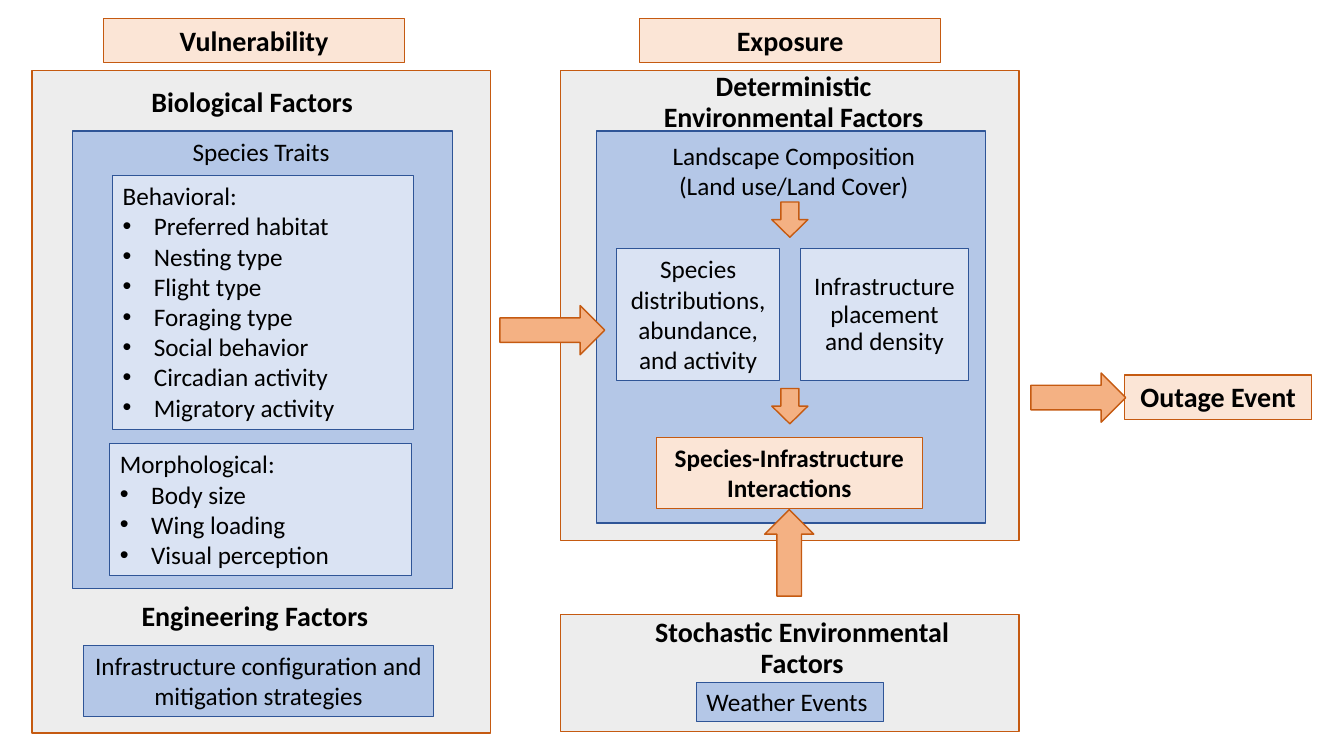
from lxml.etree import SubElement
from pptx import Presentation
from pptx.dml.color import RGBColor
from pptx.enum.shapes import MSO_SHAPE
from pptx.enum.text import MSO_ANCHOR, PP_ALIGN
from pptx.oxml.ns import qn
from pptx.util import Cm, Pt

COLORS = {
    "text": "000000", "panel": "EDEDED", "peach": "FBE5D6", "blue": "B4C7E7",
    "pale": "DAE3F3", "arrow": "F4B183", "rust": "C55A11", "navy": "2F5597",
}


def hue(name):
    """Return the named colour."""
    return RGBColor.from_string(COLORS[name])


def place(box, x, y, wide, high):
    """Turn an offset inside a box into slide lengths."""
    return Cm(box[0] + x), Cm(box[1] + y), Cm(wide), Cm(high)


def shape(box, spot, fill, edge, line=1, kind=MSO_SHAPE.RECTANGLE):
    """Add a filled and outlined shape."""
    item = slide.shapes.add_shape(kind, *place(box, *spot))
    item.shadow.inherit = False
    item.fill.solid()
    item.fill.fore_color.rgb = hue(fill)
    item.line.color.rgb = hue(edge)
    item.line.width = Pt(line)
    return item


def write(item, lines, size=18, bold=False, align=PP_ALIGN.CENTER,
          anchor=MSO_ANCHOR.TOP, space=1.0):
    """Write one paragraph for each line."""
    frame = item.text_frame
    frame.word_wrap = True
    frame.vertical_anchor = anchor
    frame.text = "\n".join(lines)
    for para in frame.paragraphs:
        para.alignment = align
        para.line_spacing = space
        para.font.name = "Calibri"
        para.font.size = Pt(size)
        para.font.bold = bold
        para.font.color.rgb = hue("text")


def label(box, spot, lines, **style):
    """Add a text box."""
    write(slide.shapes.add_textbox(*place(box, *spot)), lines, **style)


def title(box, spot, text, size=20, bold=True):
    """Add a tight heading that sits on the bottom of its box."""
    label(box, spot, [text], size=size, bold=bold,
          anchor=MSO_ANCHOR.BOTTOM, space=0.9)


def card(box, spot, text, fill="pale", edge="navy", **style):
    """Add a thinly outlined box with text."""
    write(shape(box, spot, fill, edge, 0.75), [text], **style)


def tag(box, spot, text, size=20):
    """Add a bold peach box."""
    card(box, spot, text, "peach", "rust", size=size, bold=True)


def traits(box, spot, head, items):
    """Add a box with a heading and bullets."""
    item = shape(box, spot, "pale", "navy", 0.75)
    write(item, [head, *items], align=PP_ALIGN.LEFT)
    for para in item.text_frame.paragraphs[1:]:
        props = para._p.get_or_add_pPr()
        props.set("marL", str(Cm(0.79)))
        props.set("indent", str(Cm(-0.79)))
        SubElement(props, qn("a:buFont")).set("typeface", "Arial")
        SubElement(props, qn("a:buChar")).set("char", "•")


def arrow(box, spot, turn=0):
    """Add a block arrow."""
    item = shape(box, spot, "arrow", "rust", kind=MSO_SHAPE.RIGHT_ARROW)
    item.rotation = turn


def panel(box, head, inner):
    """Add a headed grey panel with a blue area."""
    tag(box, (2.0 if box[0] > 10 else 1.8, 0, 7.59, 1.12), head)
    shape(box, (0, 1.32, box[2], box[3] - 1.32), "panel", "rust")
    shape(box, inner, "blue", "navy")


def weak(box):
    """Build the vulnerability region."""
    panel(box, "Vulnerability", (1.02, 2.84, 9.58, 11.53))
    title(box, (2.19, 1.42, 6.71, 1.24), "Biological Factors")
    title(box, (3.66, 3.02, 4.22, 0.84), "Species Traits", 18, False)
    traits(box, (2.03, 3.96, 7.59, 6.4), "Behavioral:", [
        "Preferred habitat", "Nesting type", "Flight type", "Foraging type",
        "Social behavior", "Circadian activity", "Migratory activity"])
    traits(box, (1.96, 10.72, 7.59, 3.33), "Morphological:", [
        "Body size", "Wing loading", "Visual perception"])
    title(box, (2.26, 14.37, 6.71, 1.24), "Engineering Factors")
    card(box, (1.3, 15.8, 8.81, 1.8),
         "Infrastructure configuration and mitigation strategies", "blue")


def expose(box):
    """Build the exposure region."""
    panel(box, "Exposure", (0.92, 2.84, 9.8, 9.88))
    title(box, (1.78, 1.78, 8.2, 1.24), "Deterministic Environmental Factors")
    label(box, (2.09, 2.94, 7.59, 1.8),
          ["Landscape Composition", "(Land use/Land Cover)"])
    card(box, (1.42, 5.81, 4.11, 3.33),
         "Species distributions, abundance, and activity")
    card(box, (6.05, 5.81, 4.24, 3.33),
         "Infrastructure placement and density",
         anchor=MSO_ANCHOR.MIDDLE, space=0.9)
    tag(box, (2.42, 10.56, 6.71, 1.8), "Species-Infrastructure Interactions", 18)
    for y in (4.62, 9.32):
        arrow(box, (5.34, y, 0.89, 0.91), 90)


def chance(box):
    """Build the stochastic region."""
    shape(box, (0, 0, *box[2:]), "panel", "rust")
    title(box, (1.83, 0.51, 8.53, 1.24), "Stochastic Environmental Factors")
    card(box, (3.43, 1.71, 4.72, 0.99), "Weather Events", "blue",
         align=PP_ALIGN.LEFT, anchor=MSO_ANCHOR.BOTTOM, space=0.9)


def links(box):
    """Build the outage event and the arrows between regions."""
    tag(box, (28.35, 9.45, 4.7, 1.12), "Outage Event")
    arrow(box, (12.6, 7.7, 2.64, 1.24))
    arrow(box, (25.98, 9.4, 2.39, 1.24))
    arrow(box, (18.8, 13.31, 2.18, 1.24), 270)


deck = Presentation()
deck.slide_width, deck.slide_height = Cm(33.87), Cm(19.05)
slide = deck.slides.add_slide(deck.slide_layouts[6])
weak((0.81, 0.46, 11.56, 18.01))
expose((14.12, 0.46, 11.56, 13.16))
chance((14.12, 15.49, 11.56, 2.95))
links((0, 0, 33.87, 19.05))
deck.save("out.pptx")
